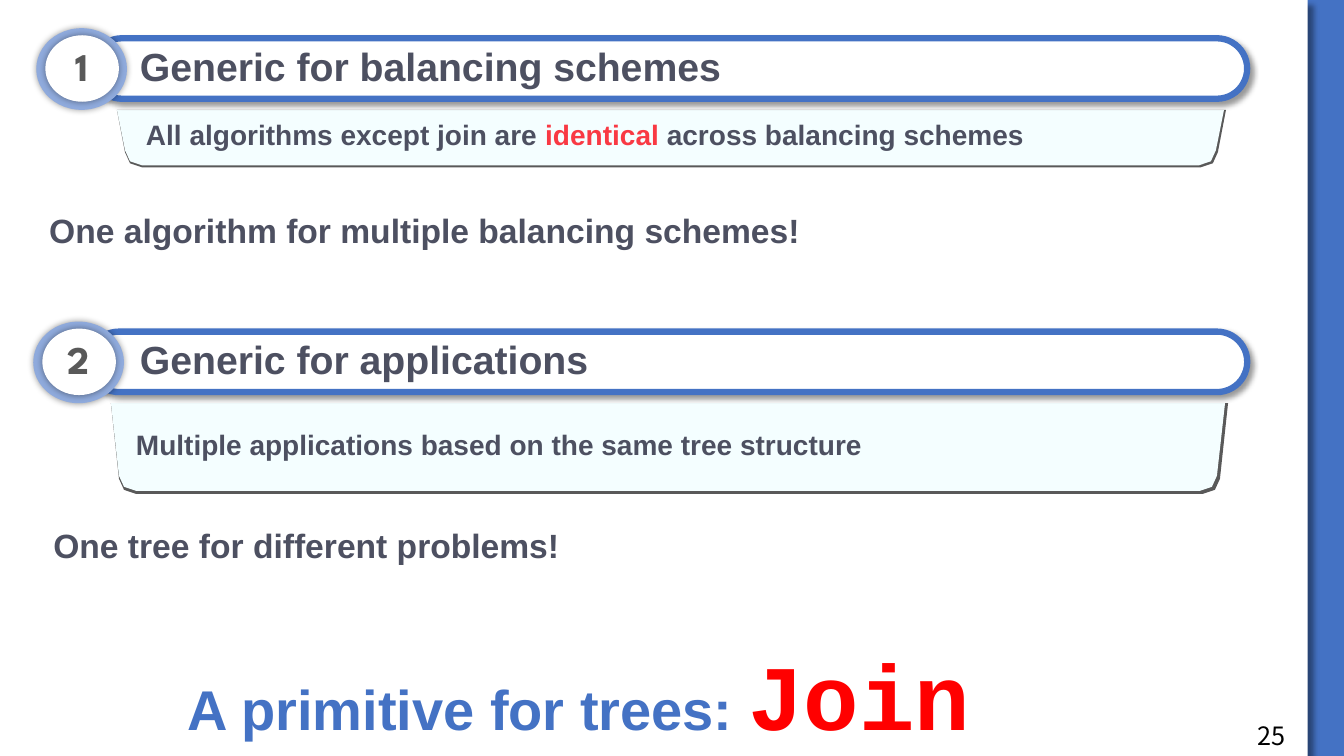
from lxml import etree
from pptx import Presentation
from pptx.dml.color import RGBColor
from pptx.enum import shapes, text
from pptx.oxml.ns import qn
from pptx.util import Inches, Pt

BLUE = RGBColor(0x44, 0x72, 0xC4)
LIGHT_BLUE = RGBColor(0x8F, 0xAA, 0xDC)
PALE_CYAN = RGBColor(0xF4, 0xFE, 0xFF)
WHITE = RGBColor(0xFF, 0xFF, 0xFF)
BLACK = RGBColor(0x00, 0x00, 0x00)
SLATE = RGBColor(0x4D, 0x50, 0x61)
GRAY = RGBColor(0x59, 0x59, 0x59)
CORAL = RGBColor(0xF9, 0x39, 0x43)
RED = RGBColor(0xFF, 0x00, 0x00)
RECTANGLE = shapes.MSO_SHAPE.RECTANGLE
ROUNDED = shapes.MSO_SHAPE.ROUNDED_RECTANGLE
OVAL = shapes.MSO_SHAPE.OVAL


def add_shadow(shape, blur, distance):
    """Give the shape a soft black shadow towards the lower right."""
    effects = shape._element.spPr.find(qn("a:effectLst"))
    shadow = etree.SubElement(
        effects, qn("a:outerShdw"), blurRad=str(Pt(blur)), dist=str(Pt(distance)),
        dir="2700000", algn="tl", rotWithShape="0")
    color = etree.SubElement(shadow, qn("a:srgbClr"), val=str(BLACK))
    etree.SubElement(color, qn("a:alpha"), val="40000")


def paint(shape, fill, line=None, width=4.5):
    shape.shadow.inherit = False
    shape.fill.solid()
    shape.fill.fore_color.rgb = fill
    if line is None:
        shape.line.fill.background()
    else:
        shape.line.color.rgb = line
        shape.line.width = Pt(width)


def add_box(slide, kind, box, fill, line=None, shadow=None):
    shape = slide.shapes.add_shape(kind, *map(Inches, box))
    if kind == ROUNDED:
        shape.adjustments[0] = 0.5
    paint(shape, fill, line)
    if shadow:
        add_shadow(shape, *shadow)
    return shape


def write_runs(frame, runs, size, font="Arial", color=SLATE, bold=True,
               align=text.PP_ALIGN.LEFT, spacing=1.0):
    """Write one paragraph; each run is (wording, overrides)."""
    paragraph = frame.paragraphs[0]
    paragraph.alignment = align
    paragraph.line_spacing = spacing
    for wording, changes in runs:
        run = paragraph.add_run()
        run.text = wording
        run.font.size = Pt(changes.get("size", size))
        run.font.name = changes.get("font", font)
        run.font.color.rgb = changes.get("color", color)
        run.font.bold = bold


def add_text(slide, box, *runs, **style):
    frame = slide.shapes.add_textbox(*map(Inches, box)).text_frame
    frame.word_wrap = True
    write_runs(frame, runs, **style)


def add_tray(slide, left, right, top, bottom, edge):
    """Tapered panel with rounded lower corners and a dark lower right edge."""
    taper, corner = 0.1, 0.15
    for offset, fill in ((edge, GRAY), (0, PALE_CYAN)):
        low, end = bottom + offset, right + offset
        builder = slide.shapes.build_freeform(
            Inches(left), Inches(top), scale=1.0)
        points = [(end, top), (end - taper + 0.02, low - corner),
                  (end - taper - 0.03, low - 0.04),
                  (end - taper - corner, low),
                  (left + taper + corner, low),
                  (left + taper + 0.03, low - 0.04),
                  (left + taper - 0.02, low - corner)]
        builder.add_line_segments(
            [(Inches(x), Inches(y)) for x, y in points], close=True)
        paint(builder.convert_to_shape(), fill)


def add_heading(slide, number, wording, badge_left, top):
    add_box(slide, ROUNDED, (badge_left + 0.55, top + 0.1, 12.37 - badge_left - 0.55, 0.6),
            WHITE, line=BLUE, shadow=(4, 3))
    add_text(slide, (1.29, top + 0.18, 8.54, 0.48), (wording, {}),
             size=28, spacing=0.8)
    add_box(slide, OVAL, (badge_left, top, 0.9, 0.81), LIGHT_BLUE, shadow=(5, 0))
    add_box(slide, OVAL, (badge_left + 0.09, top + 0.07, 0.73, 0.66),
            WHITE, shadow=(5, 0))
    add_text(slide, (badge_left + 0.09, top + 0.18, 0.73, 0.48), (number, {}),
             size=28, font="League Spartan", color=GRAY,
             align=text.PP_ALIGN.CENTER, spacing=0.8)


def add_title(slide):
    title = slide.shapes.title
    title.left, title.top, title.width, title.height = map(
        Inches, (1.76, 6.57, 8.08, 0.77))
    frame = title.text_frame
    frame.auto_size = text.MSO_AUTO_SIZE.NONE
    frame.vertical_anchor = text.MSO_ANCHOR.MIDDLE
    write_runs(frame, [("A primitive for trees: ", {}),
                       ("Join", {"size": 66, "font": "Courier New", "color": RED})],
               size=40, color=BLUE, spacing=0.9)


def main():
    presentation = Presentation()
    presentation.slide_width = Inches(13.33)
    presentation.slide_height = Inches(7.5)
    slide = presentation.slides.add_slide(presentation.slide_layouts[5])
    slide.background.fill.solid()
    slide.background.fill.fore_color.rgb = BLUE

    page = add_box(slide, RECTANGLE, (0, 0, 12.97, 7.5), WHITE, shadow=(4, 6))
    slide.shapes._spTree.insert(2, page._element)  # behind the title

    add_tray(slide, 1.16, 12.14, 1.09, 1.64, 0.02)
    add_heading(slide, "1", "Generic for balancing schemes", 0.36, 0.28)
    add_text(slide, (1.35, 1.12, 9.6, 0.44),
             ("All algorithms except join are ", {}),
             ("identical", {"color": CORAL}),
             (" across balancing schemes", {}), size=20)
    add_text(slide, (0.39, 2.03, 10.5, 0.5),
             ("One algorithm for multiple balancing schemes!", {}), size=24)

    add_tray(slide, 1.1, 12.15, 4.0, 4.87, 0.03)
    add_heading(slide, "2", "Generic for applications", 0.33, 3.19)
    add_text(slide, (1.25, 4.19, 11.53, 0.44),
             ("Multiple applications based on the same tree structure", {}), size=20)
    add_text(slide, (0.43, 5.16, 12.39, 0.5),
             ("One tree for different problems!", {}), size=24)

    add_title(slide)
    add_text(slide, (12.37, 7.1, 0.86, 0.4), ("25", {}), size=18,
             font="Noto Sans CJK SC", color=BLACK, bold=False)
    presentation.save("out.pptx")


if __name__ == "__main__":
    main()
